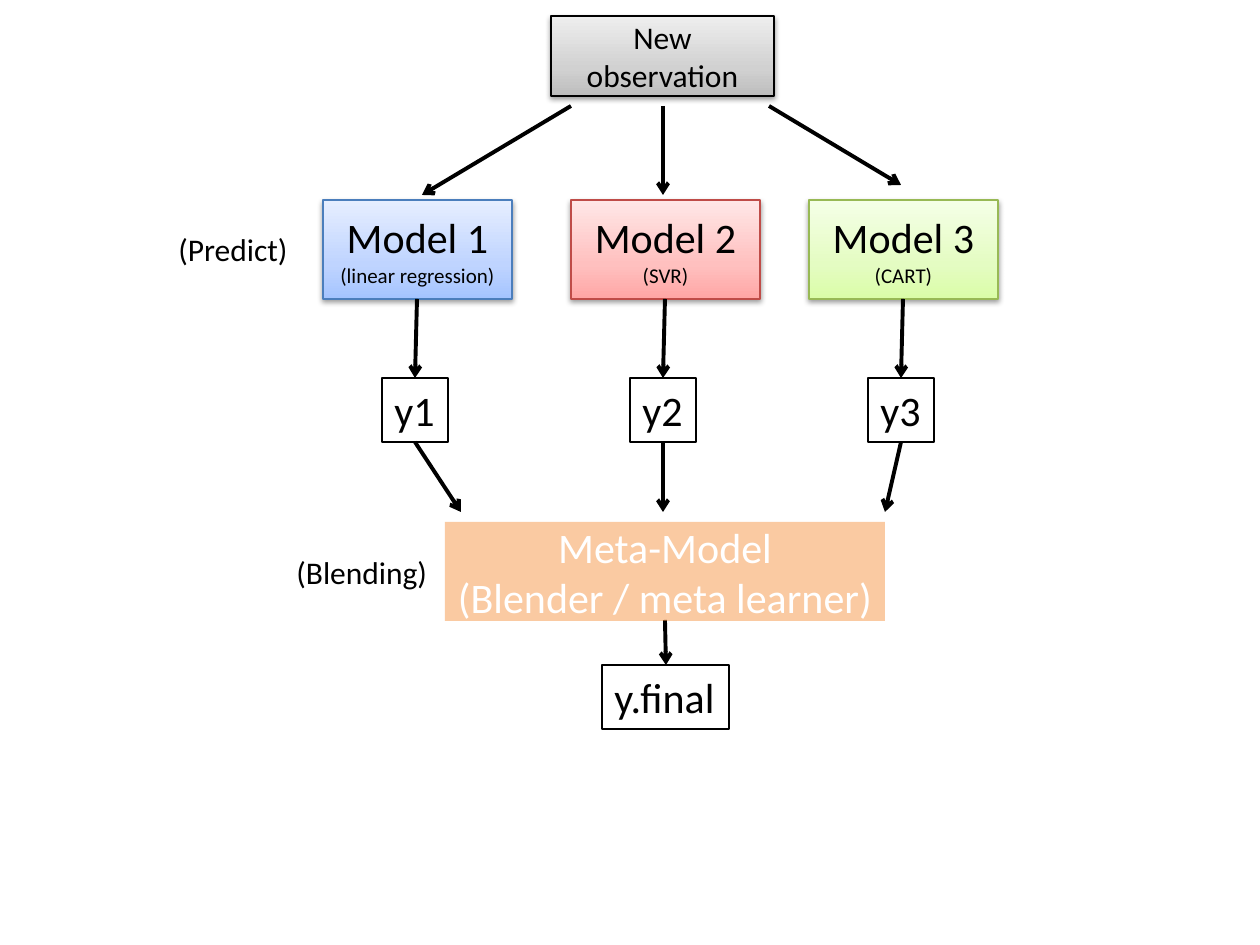
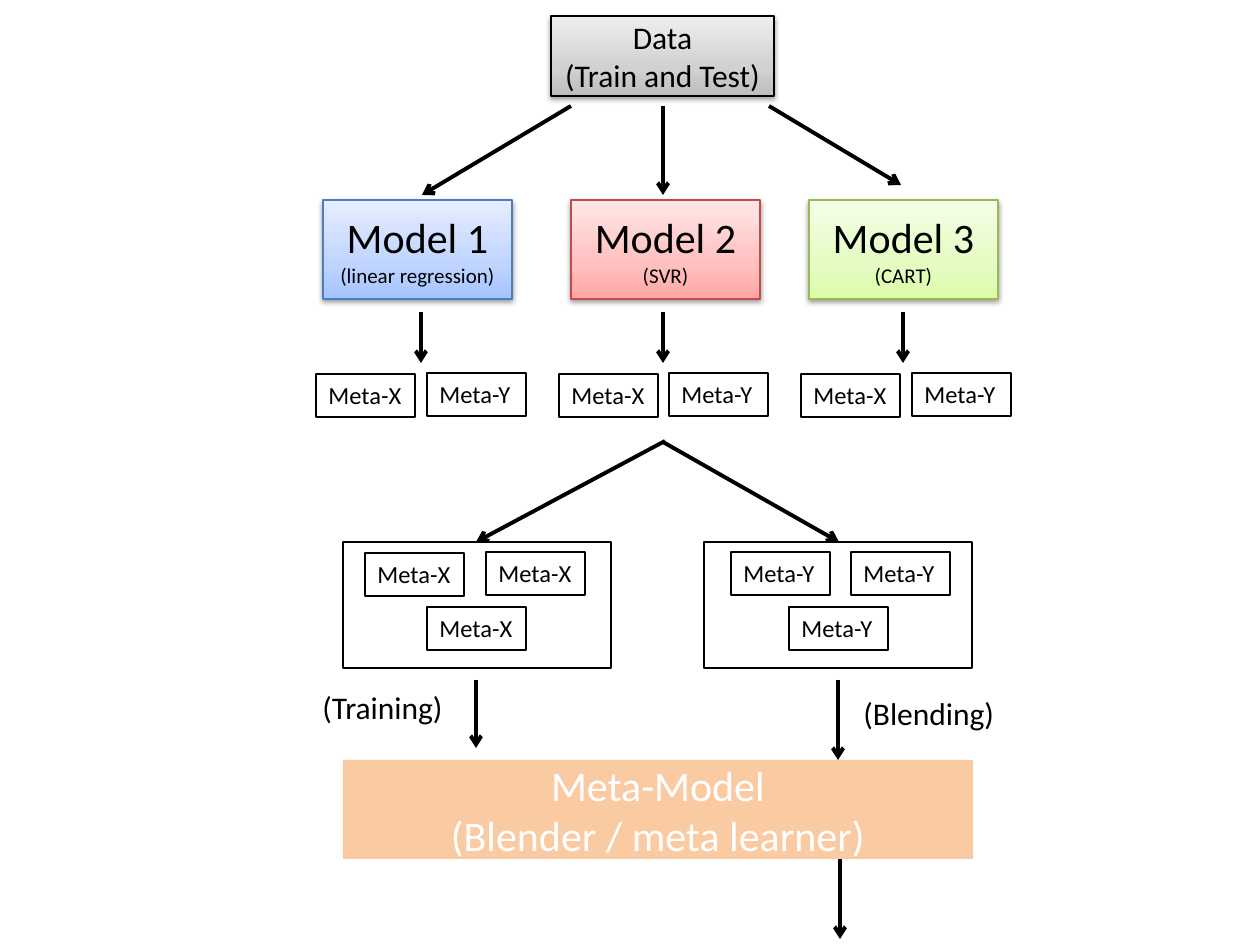
from copy import deepcopy

from lxml import etree
from pptx import Presentation
from pptx import util as u
from pptx.dml.color import RGBColor
from pptx.enum import shapes, text
from pptx.oxml import ns

PX = 914400 / 126
FONT = "Calibri"
BLACK = RGBColor(0x00, 0x00, 0x00)
WHITE = RGBColor(0xFF, 0xFF, 0xFF)
ORANGE = RGBColor(0xF7, 0x96, 0x46)
BLUE_LINE = RGBColor(0x4B, 0x7E, 0xBC)
RED_LINE = RGBColor(0xBF, 0x4C, 0x48)
GREEN_LINE = RGBColor(0x98, 0xB9, 0x55)
GREYS = [RGBColor(0xBD, 0xBD, 0xBD), RGBColor(0xD1, 0xD1, 0xD1), RGBColor(0xEE, 0xEE, 0xEE)]
BLUES = [RGBColor(0xA4, 0xC4, 0xFF), RGBColor(0xBF, 0xD4, 0xFF), RGBColor(0xE6, 0xEE, 0xFF)]
REDS = [RGBColor(0xFF, 0xA6, 0xA5), RGBColor(0xFF, 0xC0, 0xBF), RGBColor(0xFF, 0xE7, 0xE7)]
GREENS = [RGBColor(0xDA, 0xFD, 0xA7), RGBColor(0xE4, 0xFC, 0xC2), RGBColor(0xF5, 0xFF, 0xE7)]

RECT = shapes.MSO_SHAPE.RECTANGLE
PROCESS = shapes.MSO_SHAPE.FLOWCHART_PROCESS
CENTER = text.PP_ALIGN.CENTER
LEFT = text.PP_ALIGN.LEFT

MODELS = [
    (323, "Model 1", "(linear regression)", BLUES, BLUE_LINE),
    (571, "Model 2", "(SVR)", REDS, RED_LINE),
    (809, "Model 3", "(CART)", GREENS, GREEN_LINE),
]


def emu(*lengths):
    return [round(n * PX) for n in lengths]


def add_xml(parent, tag, **attrs):
    return etree.SubElement(parent, ns.qn(tag), {k: str(v) for k, v in attrs.items()})


def write(tf, content, size=18, sizes=None, color=BLACK, align=LEFT):
    for i, line in enumerate(content.split("\n")):
        p = tf.paragraphs[0] if i == 0 else tf.add_paragraph()
        p.alignment = align
        r = p.add_run()
        r.text = line
        r.font.name = FONT
        r.font.size = u.Pt(sizes[i] if sizes else size)
        r.font.color.rgb = color


class Diagram:
    def __init__(self, prs):
        self.prs = prs
        self.s = None

    def new_slide(self):
        self.s = self.prs.slides.add_slide(self.prs.slide_layouts[6])

    def shape(self, kind, box, line=None, width=0.75):
        sp = self.s.shapes.add_shape(kind, *emu(*box))
        sp.shadow.inherit = False
        if line is None:
            sp.line.fill.background()
        else:
            sp.line.color.rgb = line
            sp.line.width = u.Pt(width)
        sp.text_frame.word_wrap = True
        sp.text_frame.vertical_anchor = text.MSO_ANCHOR.MIDDLE
        return sp

    def gradient_box(self, kind, box, content, colors, line, **fmt):
        sp = self.shape(kind, box, line)
        sp.fill.gradient()
        sp.fill.gradient_angle = 90
        spPr = sp._element.spPr
        stops = spPr.find(ns.qn("a:gradFill")).find(ns.qn("a:gsLst"))
        stops.append(deepcopy(stops[-1]))
        for stop, color, pos in zip(sp.fill.gradient_stops, colors, (0, 0.35, 1)):
            stop.color.rgb = color
            stop.position = pos
        shadow = add_xml(spPr.find(ns.qn("a:effectLst")), "a:outerShdw", blurRad=40000,
                         dist=20000, dir=5400000, rotWithShape=0)
        add_xml(add_xml(shadow, "a:srgbClr", val=BLACK), "a:alpha", val=38000)
        write(sp.text_frame, content, align=CENTER, **fmt)

    def meta_model(self, box):
        sp = self.shape(PROCESS, box)
        sp.fill.solid()
        sp.fill.fore_color.rgb = ORANGE
        color = sp._element.spPr.find(ns.qn("a:solidFill"))[0]
        add_xml(color, "a:alpha", val=50000)
        write(sp.text_frame, "Meta-Model\n(Blender / meta learner)",
              size=24, color=WHITE, align=CENTER)

    def panel(self, box):
        sp = self.shape(RECT, box, BLACK, 1.5)
        sp.fill.solid()
        sp.fill.fore_color.rgb = WHITE

    def label(self, box, content, size=18, wrap=False, framed=False):
        sp = self.s.shapes.add_textbox(*emu(*box))
        tf = sp.text_frame
        tf.word_wrap = wrap
        tf.auto_size = text.MSO_AUTO_SIZE.SHAPE_TO_FIT_TEXT
        if framed:
            sp.line.color.rgb = BLACK
            sp.line.width = u.Pt(0.75)
        write(tf, content, size=size)

    def arrow(self, x1, y1, x2, y2):
        c = self.s.shapes.add_connector(shapes.MSO_CONNECTOR.STRAIGHT, *emu(x1, y1, x2, y2))
        c.line.color.rgb = BLACK
        c.line.width = u.Pt(2.25)
        add_xml(c.line._get_or_add_ln(), "a:tailEnd", type="arrow")
        add_xml(c._element.spPr, "a:effectLst")

    def models(self, source):
        self.arrow(571, 106, 422, 195)
        self.arrow(663, 106, 663, 195)
        self.arrow(769, 106, 901, 185)
        for x, name, method, colors, line in MODELS:
            self.gradient_box(PROCESS, (x, 200, 189, 99), f"{name}\n{method}",
                              colors, line, sizes=(24, 12))
        self.gradient_box(RECT, (551, 16, 223, 80), source, GREYS, BLACK)


def prediction_slide(d):
    d.new_slide()
    d.models("New observation")
    for i, (model, end) in enumerate(zip(MODELS, (461, 663, 885)), 1):
        x = model[0]
        d.label((x + 59, 378, 66, 64), f"y{i}", size=24, framed=True)
        d.arrow(x + 94, 299, x + 92, 378)
        d.arrow(x + 92, 442, end, 512)
    d.label((602, 665, 127, 64), "y.final", size=24, framed=True)
    d.arrow(665, 620, 666, 665)
    d.meta_model((445, 522, 440, 99))
    d.label((166, 224, 136, 50), "(Predict)")
    d.label((284, 547, 158, 50), "(Blending)")


def training_slide(d):
    d.new_slide()
    d.models("Data\n(Train and Test)")
    d.meta_model((343, 760, 630, 99))
    for x in (421, 663, 903):
        d.arrow(x, 312, x, 363)
    for x in (343, 704):
        d.panel((x, 542, 268, 126))
    d.arrow(665, 441, 476, 542)
    d.arrow(663, 442, 839, 542)
    d.arrow(476, 680, 476, 748)
    d.arrow(838, 680, 838, 760)
    d.arrow(840, 859, 840, 939)
    d.label((310, 682, 147, 127), "(Training)", wrap=True)
    d.label((851, 688, 335, 50), "(Blending)", wrap=True)

    meta_x = [(x, 374) for x in (316, 559, 801)] + [(365, 553), (486, 552), (427, 607)]
    meta_y = [(x, 373) for x in (427, 669, 912)] + [(731, 552), (851, 552), (789, 607)]
    for name, places in (("Meta-X", meta_x), ("Meta-Y", meta_y)):
        for x, y in places:
            d.label((x, y, 99, 43), name, size=14, framed=True)


def main():
    prs = Presentation()
    prs.slide_width, prs.slide_height = emu(1260, 945)
    d = Diagram(prs)
    prediction_slide(d)
    training_slide(d)
    prs.save("out.pptx")


if __name__ == "__main__":
    main()
